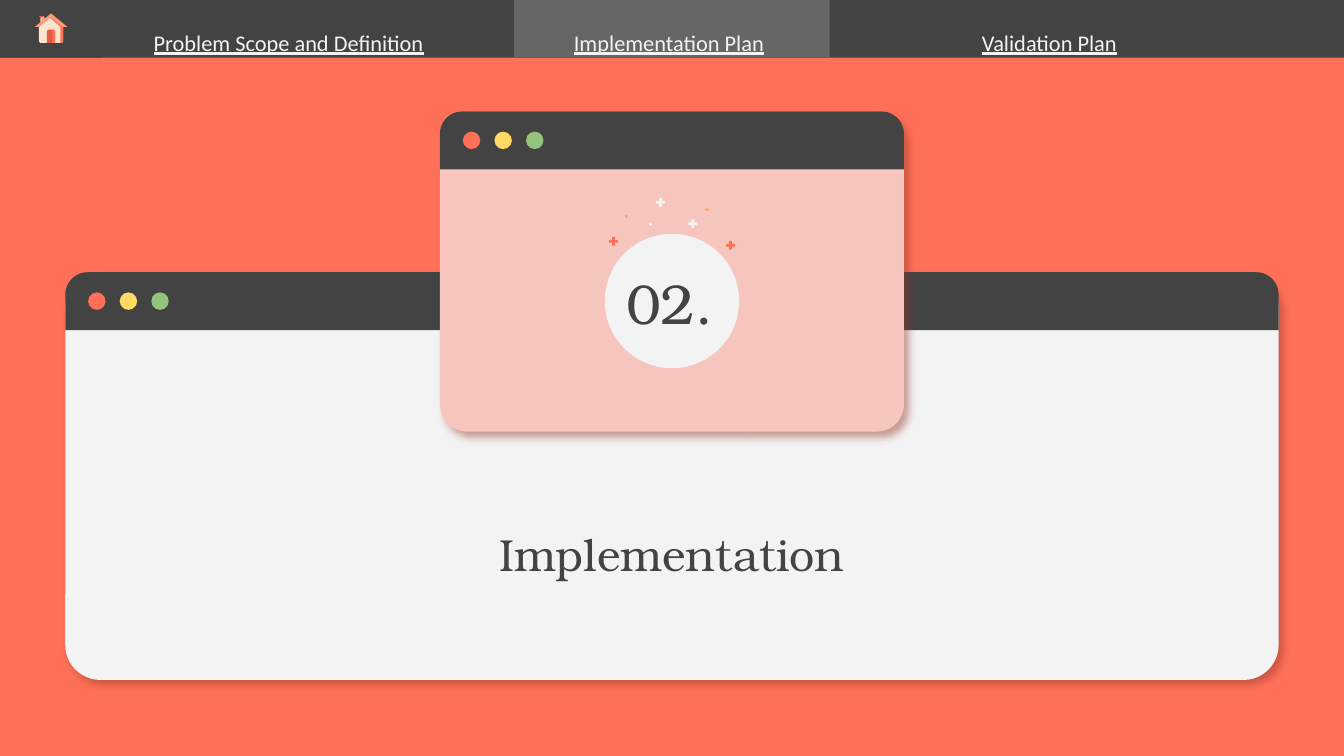
from dataclasses import dataclass

from lxml.etree import SubElement
from pptx import Presentation
from pptx.dml.color import RGBColor
from pptx.enum.shapes import MSO_SHAPE as Shape
from pptx.enum.text import MSO_ANCHOR as Anchor, PP_ALIGN as Align
from pptx.oxml.ns import qn
from pptx.util import Inches, Pt

COLS, ROWS = 100, 56.25
CELL = Inches(0.1)


@dataclass(frozen=True)
class Theme:
    coral: str = "FF7058"
    dark: str = "434343"
    active: str = "666666"
    light: str = "F3F3F3"
    pink: str = "F6C5BE"
    rose: str = "F9ABA0"
    yellow: str = "FFD966"
    green: str = "93C47D"
    amber: str = "F8A620"
    peach: str = "FF9A75"
    cream: str = "FCE5CD"
    brick: str = "E55A43"
    shadow: str = "963A2A"
    serif: str = "TeX Gyre Bonum"
    sans: str = "Calibri"
    number_size: int = 30
    title_size: int = 24
    nav_size: int = 12


T = Theme()
TABS = ["Problem Scope and Definition", "Implementation Plan", "Validation Plan"]
TAB_LEFT, TAB_STEP, TAB_WIDTH = 9.93, 28.3, 23.5
BAR = 4.3
PLUSES = [(45.2, 17.5, T.coral), (53.9, 17.8, T.coral),
          (51.1, 16.2, T.light), (48.7, 14.6, T.light)]
SPECKS = [(52.5, 15.5, T.amber), (48.3, 16.6, T.light), (46.5, 16, T.peach)]
HOUSE = [
    (T.pink, [(3, 1.3), (3, 1.7), (3.3, 1.4), (3.3, 1.3)]),
    (T.rose, [(3.1, 1.3), (3.1, 1.6), (3.3, 1.4), (3.3, 1.3)]),
    (T.cream, [(3.8, 1.2), (2.9, 2), (2.9, 3.1), (3, 3.2), (4.6, 3.2),
               (4.7, 3.1), (4.7, 2)]),
    (T.coral, [(3.8, 1.2), (3.7, 1.3), (4.5, 2), (4.5, 3.2), (4.6, 3.2),
               (4.7, 3.1), (4.7, 2)]),
    (T.brick, [(2.9, 1.2), (2.9, 1.3), (3.3, 1.3), (3.3, 1.2)]),
    (T.brick, [(3.6, 2.2), (3.5, 2.3), (3.5, 3.2), (4.1, 3.2), (4.1, 2.3),
               (4, 2.2)]),
    (T.coral, [(3.9, 2.2), (3.9, 3.2), (4.1, 3.2), (4.1, 2.3), (4, 2.2)]),
    (T.peach, [(3.8, 1), (2.6, 2), (2.9, 2), (3.8, 1.3), (4.7, 2), (5, 2)]),
    (T.coral, [(3.2, 1.2), (3.2, 1.3), (3.3, 1.3), (3.3, 1.2)]),
]


def grid(*cells):
    return [round(c * CELL) for c in cells]


def paint(sp, color):
    sp.shadow.inherit = False
    sp.fill.solid()
    sp.fill.fore_color.rgb = RGBColor.from_string(color)
    sp.line.fill.background()
    return sp


def add_block(shapes, kind, box, color, adj=()):
    sp = paint(shapes.add_shape(kind, *grid(*box)), color)
    for i, value in enumerate(adj):
        sp.adjustments[i] = value
    return sp


def cast_shadow(sp):
    effects = sp._element.spPr.find(qn("a:effectLst"))
    outer = SubElement(effects, qn("a:outerShdw"), blurRad=str(Pt(4.5)),
                       dist=str(Pt(3.8)), dir=str(49 * 60000),
                       algn="bl", rotWithShape="0")
    color = SubElement(outer, qn("a:srgbClr"), val=T.shadow)
    SubElement(color, qn("a:alpha"), val="47000")


def add_text(shapes, box, text, font, color, para=None, insets=(1, 1, 1, 1)):
    tf = shapes.add_textbox(*grid(*box)).text_frame
    left, top, right, bottom = grid(*insets)
    frame = dict(word_wrap=True, vertical_anchor=Anchor.MIDDLE, margin_left=left,
                 margin_top=top, margin_right=right, margin_bottom=bottom)
    p = tf.paragraphs[0]
    r = p.add_run()
    r.text = text
    r.font.color.rgb = RGBColor.from_string(color)
    formats = [(tf, frame), (p, {"alignment": Align.CENTER, **(para or {})}),
               (r.font, font)]
    for target, values in formats:
        for name, value in values.items():
            setattr(target, name, value)


def add_window(slide, box, color, corner):
    shapes = slide.shapes.add_group_shape().shapes
    x, y, w, _ = box
    cast_shadow(add_block(shapes, Shape.ROUNDED_RECTANGLE, box, color, [corner]))
    add_block(shapes, Shape.ROUND_2_SAME_RECTANGLE, (x, y, w, BAR), T.dark, [0.383, 0])
    for i, dot in enumerate([T.coral, T.yellow, T.green]):
        add_block(shapes, Shape.OVAL, (x + 1.7 + 2.35 * i, y + 1.5, 1.3, 1.3), dot)


def add_badge(slide):
    shapes = slide.shapes.add_group_shape().shapes
    add_block(shapes, Shape.OVAL, (45, 17.4, 10, 10), T.light)
    for x, y, color in PLUSES:
        add_block(shapes, Shape.MATH_PLUS, (x, y, 0.9, 0.9), color, [0.235])
    for x, y, color in SPECKS:
        add_block(shapes, Shape.OVAL, (x, y, 0.2, 0.2), color)


def add_house(slide):
    shapes = slide.shapes.add_group_shape().shapes
    for color, points in HOUSE:
        start, *rest = [grid(*point) for point in points]
        outline = shapes.build_freeform(*start)
        outline.add_line_segments(rest)
        paint(outline.convert_to_shape(), color)


def add_nav(slide, active):
    shapes = slide.shapes
    add_block(shapes, Shape.RECTANGLE, (0, 0, COLS, BAR), T.dark)
    add_block(shapes, Shape.RECTANGLE, (0, 0, 7.6, BAR), T.dark)
    add_block(shapes, Shape.RECTANGLE,
              (TAB_LEFT + TAB_STEP * active, -0.06, TAB_WIDTH, BAR), T.active)
    add_house(slide)
    font = dict(name=T.sans, size=Pt(T.nav_size), underline=True)
    for i, label in enumerate(TABS):
        add_text(shapes, (TAB_LEFT + TAB_STEP * i, 1.03, TAB_WIDTH, 2.2), label, font,
                 T.light, {"space_after": Pt(16)}, (0.8, 2, 1.2, 0))


def main():
    prs = Presentation()
    prs.slide_width, prs.slide_height = grid(COLS, ROWS)
    s = prs.slides.add_slide(prs.slide_layouts[6])
    s.background.fill.solid()
    s.background.fill.fore_color.rgb = RGBColor.from_string(T.coral)

    add_window(s, (4.86, 20.26, 90.28, 30.34), T.light, 0.086)
    add_text(s.shapes, (27.05, 36.2, 45.9, 9.6), "Implementation",
             dict(name=T.serif, size=Pt(T.title_size)), T.dark, {"line_spacing": 1.1})
    add_window(s, (32.74, 8.3, 34.52, 23.82), T.pink, 0.084)
    add_badge(s)
    add_text(s.shapes, (44.05, 19.6, 11.6, 5.7), "02.",
             dict(name=T.serif, size=Pt(T.number_size)), T.dark)
    add_nav(s, active=1)
    prs.save("out.pptx")


if __name__ == "__main__":
    main()
